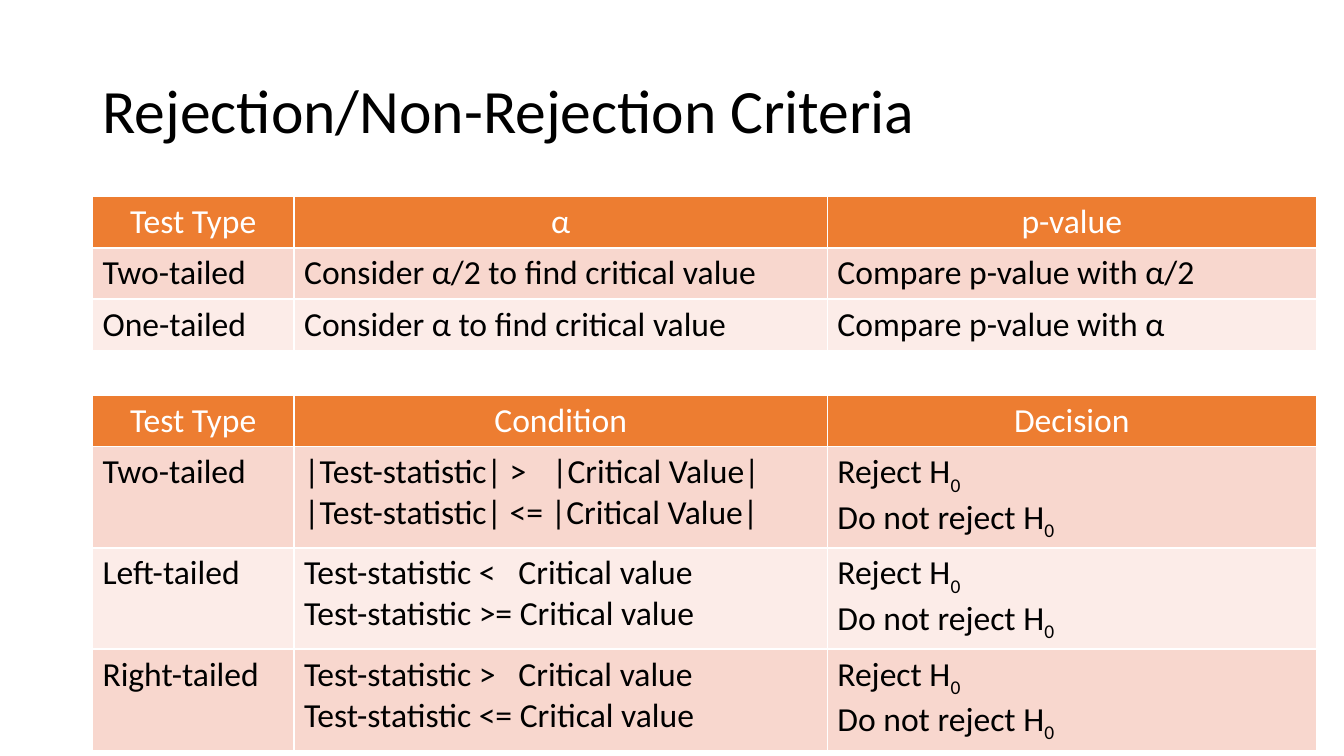
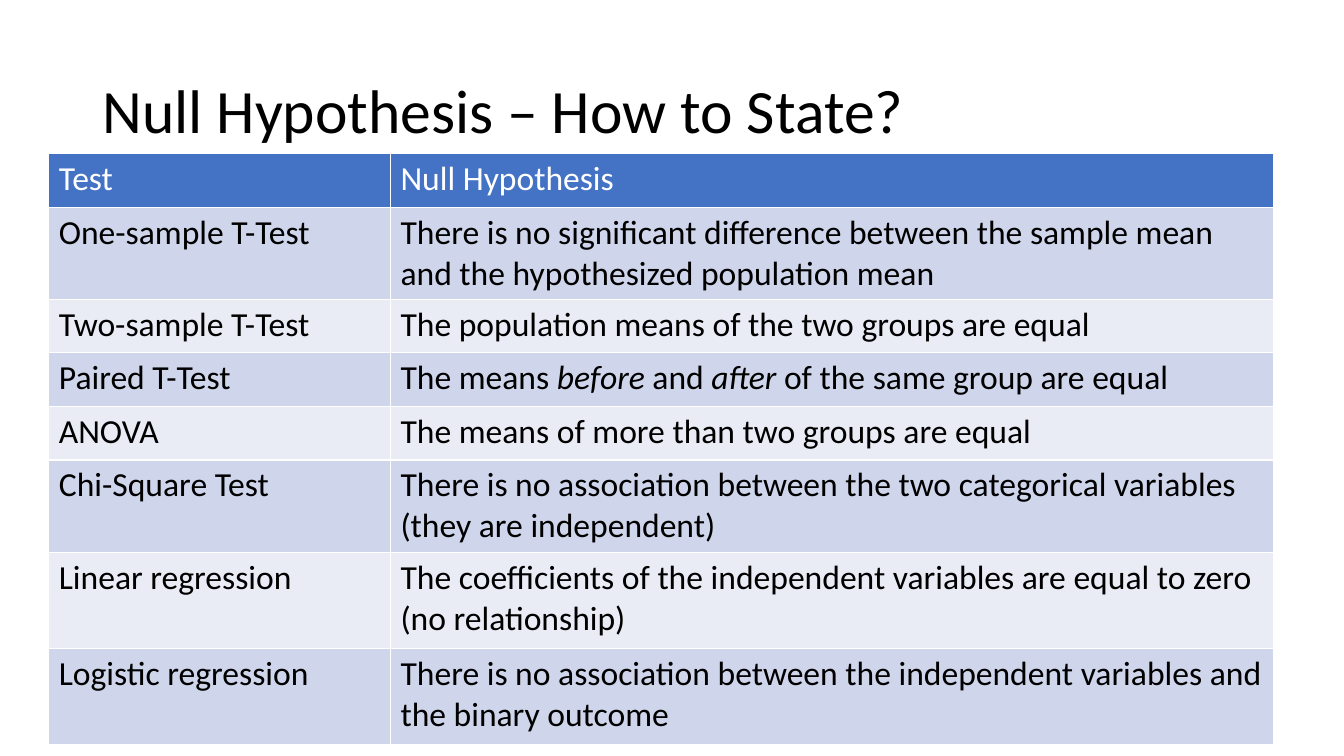
"""Builds two slides of tables on test criteria and null hypotheses."""
from pptx import Presentation
from pptx.dml.color import RGBColor
from pptx.enum.text import MSO_ANCHOR, MSO_AUTO_SIZE, PP_ALIGN
from pptx.util import Cm, Pt
from lxml.etree import SubElement
from pptx.oxml.ns import qn

FONT = "Calibri"
COLORS = {
    "text": "000000", "white": "FFFFFF",
    "orange": ["ED7D31", "F8D7CE", "FCECE8"],
    "blue": ["4472C4", "CFD5EA", "E9EBF5"],
}


def style(para, size, color):
    """Set the font of a whole paragraph."""
    font = para.font
    font.name, font.size, font.bold = FONT, Pt(size), False
    font.color.rgb = RGBColor.from_string(COLORS[color])


def fill_cell(cell, text, hue, color, align):
    """Write text into a cell; *0* is a subscript, other *words* are italic."""
    cell.fill.solid()
    cell.fill.fore_color.rgb = RGBColor.from_string(hue)
    frame = cell.text_frame
    for num, line in enumerate(text.split("\n")):
        para = frame.add_paragraph() if num else frame.paragraphs[0]
        para.alignment = align
        style(para, 24, color)
        for pos, part in enumerate(line.split("*")):
            if not part:
                continue
            run = para.add_run()
            run.text = part
            if pos % 2 and part == "0":
                run._r.get_or_add_rPr().set("baseline", "-25000")
            elif pos % 2:
                run.font.italic = True
        if "\t" in line:
            stop = Cm(6.25 if line.startswith("|") else 5.4)
            tabs = SubElement(para._p.get_or_add_pPr(), qn("a:tabLst"))
            SubElement(tabs, qn("a:tab"), pos=str(stop), algn="l")
            para._p.pPr.insert(0, tabs)


CHOICE = "Reject H*0*\nDo not reject H*0*"
WIDTHS = [5.08, 13.44, 12.32]
SLIDES = [
    ("Rejection/Non-Rejection Criteria", [
        {"at": (2.33, 4.96), "hue": "orange", "align": PP_ALIGN.CENTER,
         "cols": WIDTHS, "rows": [1.28] * 3, "data": [
             ("Test Type", "α", "p-value"),
             ("Two-tailed", "Consider α/2 to find critical value", "Compare p-value with α/2"),
             ("One-tailed", "Consider α to find critical value", "Compare p-value with α"),
         ]},
        {"at": (2.33, 9.97), "hue": "orange", "align": PP_ALIGN.CENTER,
         "cols": WIDTHS, "rows": [1.28] + [2.55] * 3, "data": [
             ("Test Type", "Condition", "Decision"),
             ("Two-tailed",
              "|Test-statistic| >\t|Critical Value|\n|Test-statistic| <= |Critical Value|", CHOICE),
             ("Left-tailed",
              "Test-statistic <\tCritical value\nTest-statistic >= Critical value", CHOICE),
             ("Right-tailed",
              "Test-statistic >\tCritical value\nTest-statistic <= Critical value", CHOICE),
         ]},
    ]),
    ("Null Hypothesis – How to State?", [
        {"at": (1.23, 3.87), "hue": "blue", "align": PP_ALIGN.LEFT,
         "cols": [8.61, 22.25],
         "rows": [1.35, 2.32, 1.35, 1.35, 1.35, 2.32, 2.42, 2.42], "data": [
             ("Test", "Null Hypothesis"),
             ("One-sample T-Test", "There is no significant difference between the sample mean "
              "and the hypothesized population mean"),
             ("Two-sample T-Test", "The population means of the two groups are equal"),
             ("Paired T-Test", "The means *before* and *after* of the same group are equal"),
             ("ANOVA", "The means of more than two groups are equal"),
             ("Chi-Square Test", "There is no association between the two categorical variables "
              "(they are independent)"),
             ("Linear regression", "The coefficients of the independent variables are equal to "
              "zero (no relationship)"),
             ("Logistic regression", "There is no association between the independent variables "
              "and the binary outcome"),
         ]},
    ]),
]

deck = Presentation()
deck.slide_width, deck.slide_height = Cm(33.87), Cm(19.05)

for head, grids in SLIDES:
    slide = deck.slides.add_slide(deck.slide_layouts[5])
    title = slide.shapes.title
    title.left, title.top, title.width, title.height = Cm(2.33), Cm(1.01), Cm(29.21), Cm(3.68)
    frame = title.text_frame
    frame.text = head
    frame.auto_size = MSO_AUTO_SIZE.NONE
    frame.vertical_anchor = MSO_ANCHOR.MIDDLE
    para = frame.paragraphs[0]
    para.alignment, para.line_spacing = PP_ALIGN.LEFT, 0.9
    style(para, 44, "text")

    for grid in grids:
        cols, rows = grid["cols"], grid["rows"]
        left, top = grid["at"]
        table = slide.shapes.add_table(len(rows), len(cols), Cm(left), Cm(top),
                                       Cm(sum(cols)), Cm(sum(rows))).table
        for col, width in zip(table.columns, cols):
            col.width = Cm(width)
        dark, mid, pale = COLORS[grid["hue"]]
        for num, (row, texts) in enumerate(zip(table.rows, grid["data"])):
            row.height = Cm(rows[num])
            hue = (mid if num % 2 else pale) if num else dark
            color = "text" if num else "white"
            align = PP_ALIGN.LEFT if num else grid["align"]
            for cell, text in zip(row.cells, texts):
                fill_cell(cell, text, hue, color, align)

deck.save("out.pptx")
